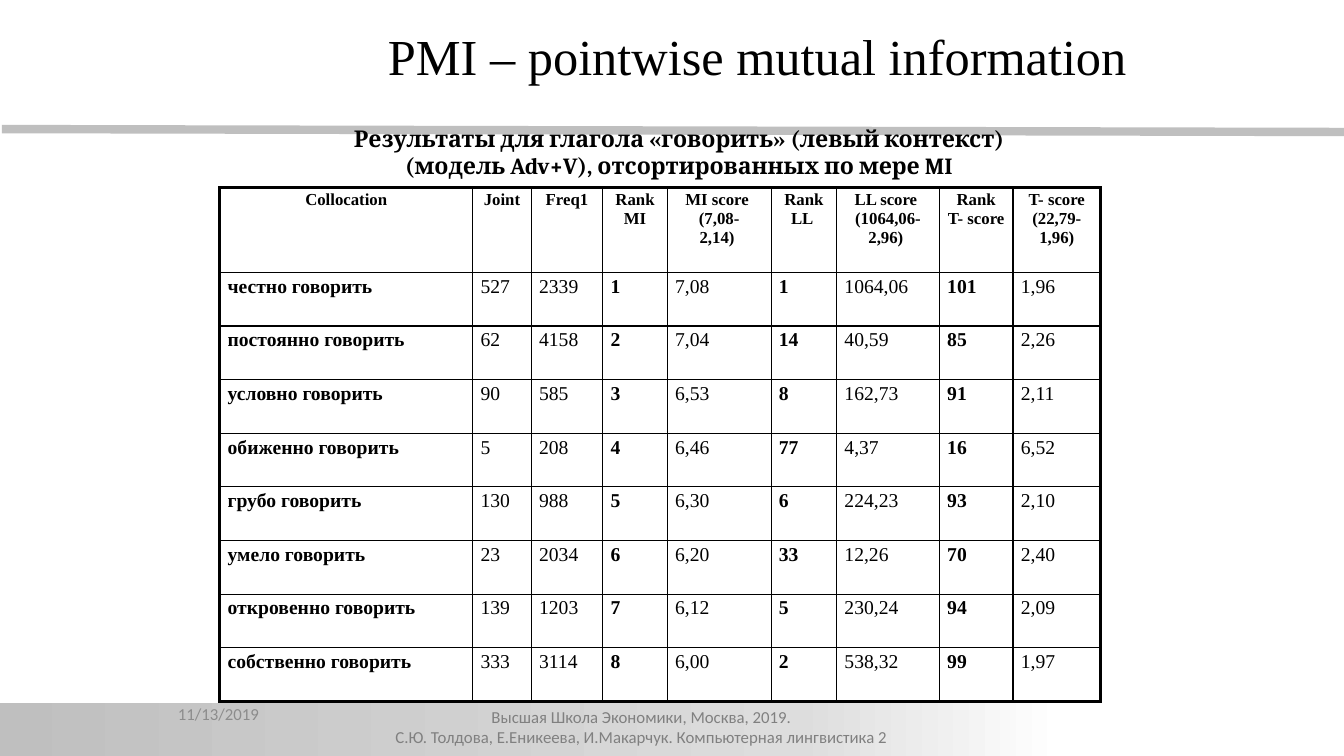
import copy

import pptx
import pptx.dml.color
import pptx.enum.shapes
import pptx.enum.text
import pptx.oxml
import pptx.oxml.ns
import pptx.util

Pt = pptx.util.Pt
ALIGN = pptx.enum.text.PP_ALIGN
ANCHOR = pptx.enum.text.MSO_ANCHOR
COLORS = {"text": "000000", "rule": "BFBFBF", "bar_mid": "DDDDDD",
          "bar_end": "FFFFFF", "footer": "808080", "date": "8C8C8C"}
THIN, THICK = 1, 2.25

WIDTHS = [180.72, 41.76, 51.12, 46.08, 74.16, 46.8, 73.44, 52.56, 62.64]
HEADER_HEIGHT, ROW_HEIGHT = 60.5, 38.35
BOLD_COLUMNS = {0, 3, 5, 7}
HEADER = ["Collocation", "Joint", "Freq1", "Rank\nMI", "MI score \n(7,08-\n2,14) ",
          "Rank\nLL ", "LL score \n(1064,06-2,96) ", "Rank\nT- score",
          "T- score\n(22,79-\n1,96)"]
ROWS = [
    ["честно говорить", "527", "2339", "1", "7,08", "1", "1064,06", "101", "1,96"],
    ["постоянно говорить", "62", "4158", "2", "7,04", "14", "40,59", "85", "2,26"],
    ["условно говорить", "90", "585", "3", "6,53", "8", "162,73", "91", "2,11"],
    ["обиженно говорить", "5", "208", "4", "6,46", "77", "4,37", "16", "6,52"],
    ["грубо говорить", "130", "988", "5", "6,30", "6", "224,23", "93", "2,10"],
    ["умело говорить", "23", "2034", "6", "6,20", "33", "12,26", "70", "2,40"],
    ["откровенно говорить", "139", "1203", "7", "6,12", "5", "230,24", "94", "2,09"],
    ["собственно говорить", "333", "3114", "8", "6,00", "2", "538,32", "99", "1,97"],
]


def rgb(name):
    return pptx.dml.color.RGBColor.from_string(COLORS[name])


class SlideBuilder:
    def __init__(self, slide):
        self.slide = slide
        self.shapes = slide.shapes

    def style(self, p, size, font, color="text", bold=False, align=ALIGN.LEFT):
        p.alignment = align
        p.font.size = Pt(size)
        p.font.name = font
        p.font.bold = bold
        p.font.color.rgb = rgb(color)

    def rule(self, x1, y1, x2, y2, width):
        line = self.shapes.add_connector(pptx.enum.shapes.MSO_CONNECTOR.STRAIGHT,
                                         Pt(x1), Pt(y1), Pt(x2), Pt(y2))
        line.line.width = Pt(width)
        line.line.color.rgb = rgb("rule")
        pptx.oxml.ns.qn("a:effectLst")
        line._element.spPr.append(
            line._element.makeelement(pptx.oxml.ns.qn("a:effectLst"), {}))

    def gradient_bar(self, x, y, w, h, stops):
        """Draw a left-to-right gradient; stops are (position, colour name)."""
        sp = self.shapes.add_shape(pptx.enum.shapes.MSO_SHAPE.RECTANGLE,
                                   Pt(x), Pt(y), Pt(w), Pt(h))
        sp.shadow.inherit = False
        sp.line.fill.background()
        sp.fill.gradient()
        sp.fill.gradient_angle = 0
        stop_list = next(sp._element.iter(pptx.oxml.ns.qn("a:gsLst")))
        stop_list.append(copy.deepcopy(stop_list[-1]))
        for stop, (position, color) in zip(sp.fill.gradient_stops, stops):
            stop.position = position
            stop.color.rgb = rgb(color)

    def text(self, x, y, w, h, lines, anchor=ANCHOR.TOP, **style):
        tf = self.shapes.add_textbox(Pt(x), Pt(y), Pt(w), Pt(h)).text_frame
        tf.word_wrap = True
        tf.vertical_anchor = anchor
        tf.text = "\n".join(lines)
        for p in tf.paragraphs:
            self.style(p, **style)

    def title(self, x, y, w, h, text, **style):
        """Fill the title placeholder and bring it in front of the rule."""
        sp = self.shapes.title
        sp.left, sp.top, sp.width, sp.height = Pt(x), Pt(y), Pt(w), Pt(h)
        tf = sp.text_frame
        tf.word_wrap = True
        tf.auto_size = pptx.enum.text.MSO_AUTO_SIZE.NONE
        tf.vertical_anchor = ANCHOR.MIDDLE
        tf.margin_left = tf.margin_right = tf.margin_bottom = 0
        tf.margin_top = Pt(1.5)
        p = tf.paragraphs[0]
        p.text = text
        p.line_spacing = 0.95
        p.space_before = Pt(0)
        self.style(p, **style)
        self.shapes._spTree.append(sp._element)

    def borders(self, cell, widths):
        """Set left, right, top and bottom border widths, before any fill."""
        ns = pptx.oxml.ns.nsdecls("a")
        for side, width in zip("LRTB", widths):
            cell._tc.get_or_add_tcPr().append(pptx.oxml.parse_xml(
                f'<a:ln{side} {ns} w="{Pt(width)}"><a:solidFill>'
                f'<a:srgbClr val="{COLORS["text"]}"/></a:solidFill></a:ln{side}>'))

    def table(self, x, y, rows, widths, heights, font):
        frame = self.shapes.add_table(len(rows), len(widths), Pt(x), Pt(y),
                                      Pt(sum(widths)), Pt(sum(heights)))
        table = frame.table
        table.first_row = table.horz_banding = False
        for column, width in zip(table.columns, widths):
            column.width = Pt(width)
        for row, height in zip(table.rows, heights):
            row.height = Pt(height)
        last_row, last_col = len(rows) - 1, len(widths) - 1
        for i, row in enumerate(rows):
            for j, text in enumerate(row):
                cell = table.cell(i, j)
                cell.margin_left = cell.margin_right = Pt(5.6)
                cell.margin_top = cell.margin_bottom = Pt(2.4)
                outer = (j == 0, j == last_col, i == 0, i == last_row)
                self.borders(cell, [THICK if edge else THIN for edge in outer])
                cell.fill.background()
                p = cell.text_frame.paragraphs[0]
                p.text = text
                if i == 0:
                    self.style(p, 12, font, bold=True, align=ALIGN.CENTER)
                else:
                    self.style(p, 14, font, bold=j in BOLD_COLUMNS)


def main():
    prs = pptx.Presentation()
    prs.slide_width, prs.slide_height = Pt(960), Pt(540)
    s = SlideBuilder(prs.slides.add_slide(prs.slide_layouts[5]))

    s.rule(1.4, 92.2, 961, 94.3, 6)
    s.gradient_bar(-0.7, 502, 760, 41,
                   [(0, "rule"), (0.75, "bar_mid"), (1, "bar_end")])
    s.text(183, 501, 553, 32.4,
           ["Высшая Школа Экономики, Москва, 2019. ",
            "С.Ю. Толдова, Е.Еникеева, И.Макарчук. Компьютерная лингвистика 2 "],
           size=12, font="Calibri", color="footer", align=ALIGN.CENTER)
    s.table(157, 134, [HEADER] + ROWS, WIDTHS,
            [HEADER_HEIGHT] + [ROW_HEIGHT] * len(ROWS), "Times New Roman")
    s.title(242, 83.5, 486, 50.4,
            "Результаты для глагола «говорить» (левый контекст) "
            "(модель Adv+V), отсортированных по мере MI",
            size=16.5, font="Cambria", bold=True, align=ALIGN.CENTER)
    s.text(120, 492, 168, 36, ["11/13/2019"], anchor=ANCHOR.MIDDLE,
           size=12, font="Calibri", color="date")
    s.text(270, 14.4, 556, 51, ["PMI – pointwise mutual information"],
           size=36, font="Times New Roman")

    prs.save("out.pptx")


if __name__ == "__main__":
    main()
